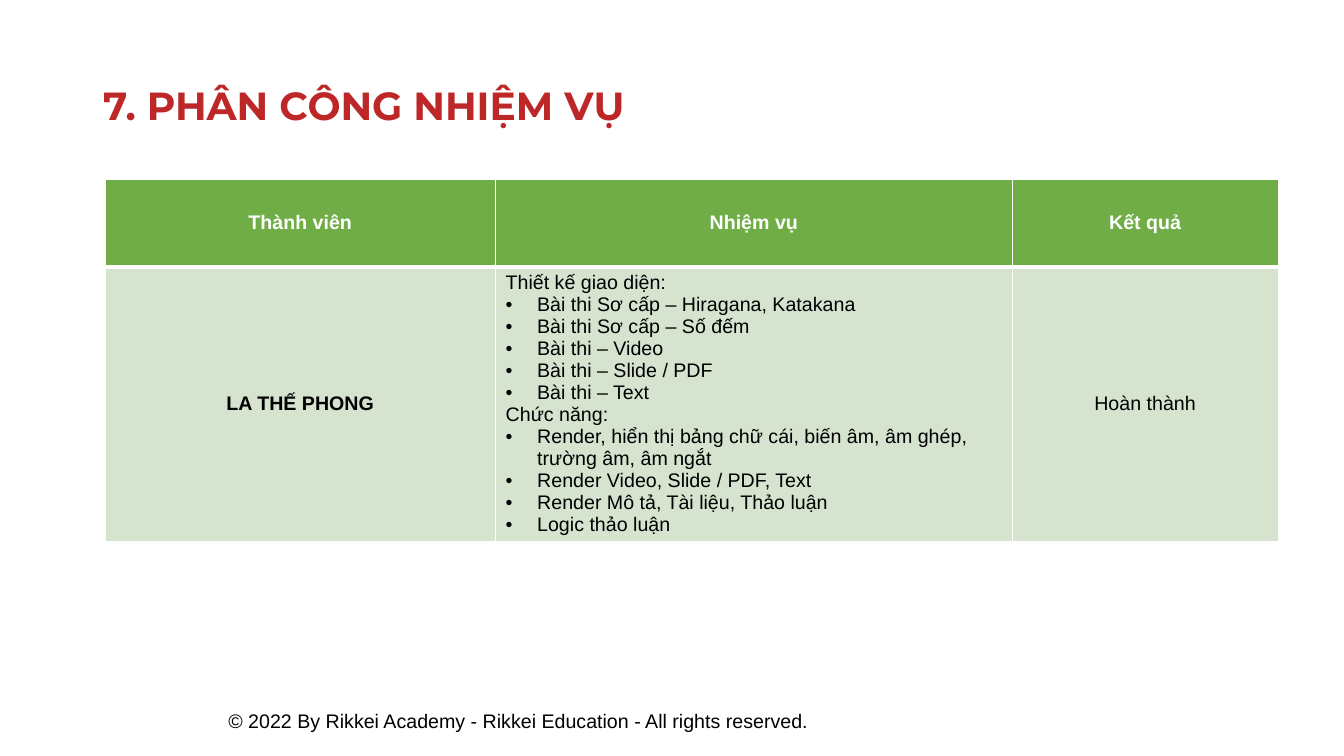
from lxml import etree
from pptx import Presentation
from pptx.dml.color import RGBColor
from pptx.enum import text
from pptx.oxml import ns
from pptx.util import Pt

TITLE = "7. PHÂN CÔNG NHIỆM VỤ"
FOOTER = "© 2022 By Rikkei Academy - Rikkei Education - All rights reserved."
HEADERS = ["Thành viên", "Nhiệm vụ", "Kết quả"]
MEMBER, RESULT = "LA THẾ PHONG", "Hoàn thành"
TASKS = {
    "Thiết kế giao diện:": [
        "Bài thi Sơ cấp – Hiragana, Katakana",
        "Bài thi Sơ cấp – Số đếm",
        "Bài thi – Video",
        "Bài thi – Slide / PDF",
        "Bài thi – Text",
    ],
    "Chức năng:": [
        "Render, hiển thị bảng chữ cái, biến âm, âm ghép, trường âm, âm ngắt",
        "Render Video, Slide / PDF, Text",
        "Render Mô tả, Tài liệu, Thảo luận",
        "Logic thảo luận",
    ],
}
COLORS = {"title": "BE2727", "header": "70AD47", "body": "D5E3CF",
          "white": "FFFFFF", "black": "000000"}
COLUMN_WIDTHS = [279, 369, 190]
ROW_HEIGHTS = [62.5, 196]
BULLET_INDENT = 22.5


def rgb(name):
    return RGBColor.from_string(COLORS[name])


def style(para, color, bold=False, size=14, face="Arial"):
    font = para.font
    font.name, font.size, font.bold = face, Pt(size), bold
    font.color.rgb = rgb(color)


def add_border(cell, side, width):
    line = etree.SubElement(cell._tc.get_or_add_tcPr(), ns.qn(f"a:ln{side}"), w=str(Pt(width)))
    fill = etree.SubElement(line, ns.qn("a:solidFill"))
    etree.SubElement(fill, ns.qn("a:srgbClr"), val=COLORS["white"])


def format_cell(cell, fill, top, bottom):
    for side, width in (("L", 1), ("R", 1), ("T", top), ("B", bottom)):
        add_border(cell, side, width)
    cell.fill.solid()
    cell.fill.fore_color.rgb = rgb(fill)
    cell.vertical_anchor = text.MSO_ANCHOR.MIDDLE


def write_centred(cell, words, color, bold):
    para = cell.text_frame.paragraphs[0]
    para.text = words
    para.alignment = text.PP_ALIGN.CENTER
    style(para, color, bold)


def write_tasks(frame):
    """Fill the frame with each heading followed by its bulleted tasks."""
    lines = [(line, line != heading) for heading, tasks in TASKS.items()
             for line in [heading, *tasks]]
    for index, (line, bulleted) in enumerate(lines):
        para = frame.add_paragraph() if index else frame.paragraphs[0]
        para.text = line
        para.level = 1
        indent = Pt(BULLET_INDENT) if bulleted else 0
        props = para._p.get_or_add_pPr()
        props.set("marL", str(indent))
        props.set("indent", str(-indent))
        if bulleted:
            etree.SubElement(props, ns.qn("a:buFont"), typeface="Arial")
            etree.SubElement(props, ns.qn("a:buChar"), char="•")
        style(para, "black")


deck = Presentation()
deck.slide_width, deck.slide_height = Pt(960), Pt(540)
page = deck.slides.add_slide(deck.slide_layouts[5])

title = page.shapes.title
title.left, title.top, title.width, title.height = Pt(66.5), Pt(40), Pt(667), Pt(74)
frame = title.text_frame
frame.text = TITLE
frame.auto_size = text.MSO_AUTO_SIZE.NONE
frame.vertical_anchor = text.MSO_ANCHOR.MIDDLE
heading = frame.paragraphs[0]
heading.alignment = text.PP_ALIGN.LEFT
heading.line_spacing = 0.9
style(heading, "title", True, 28, "Montserrat")

table = page.shapes.add_table(2, 3, Pt(75), Pt(128), Pt(sum(COLUMN_WIDTHS)),
                              Pt(sum(ROW_HEIGHTS))).table
for column, width in zip(table.columns, COLUMN_WIDTHS):
    column.width = Pt(width)
for row, height in zip(table.rows, ROW_HEIGHTS):
    row.height = Pt(height)
for index, label in enumerate(HEADERS):
    format_cell(table.cell(0, index), "header", 1, 3)
    format_cell(table.cell(1, index), "body", 3, 1)
    write_centred(table.cell(0, index), label, "white", True)
write_centred(table.cell(1, 0), MEMBER, "black", True)
write_tasks(table.cell(1, 1).text_frame)
write_centred(table.cell(1, 2), RESULT, "black", False)

footer = page.shapes.add_textbox(Pt(156), Pt(499), Pt(561), Pt(31.5)).text_frame
footer.word_wrap = True
footer.margin_left = footer.margin_right = footer.margin_top = footer.margin_bottom = Pt(7.2)
footer.text = FOOTER
style(footer.paragraphs[0], "black")

deck.save("out.pptx")
